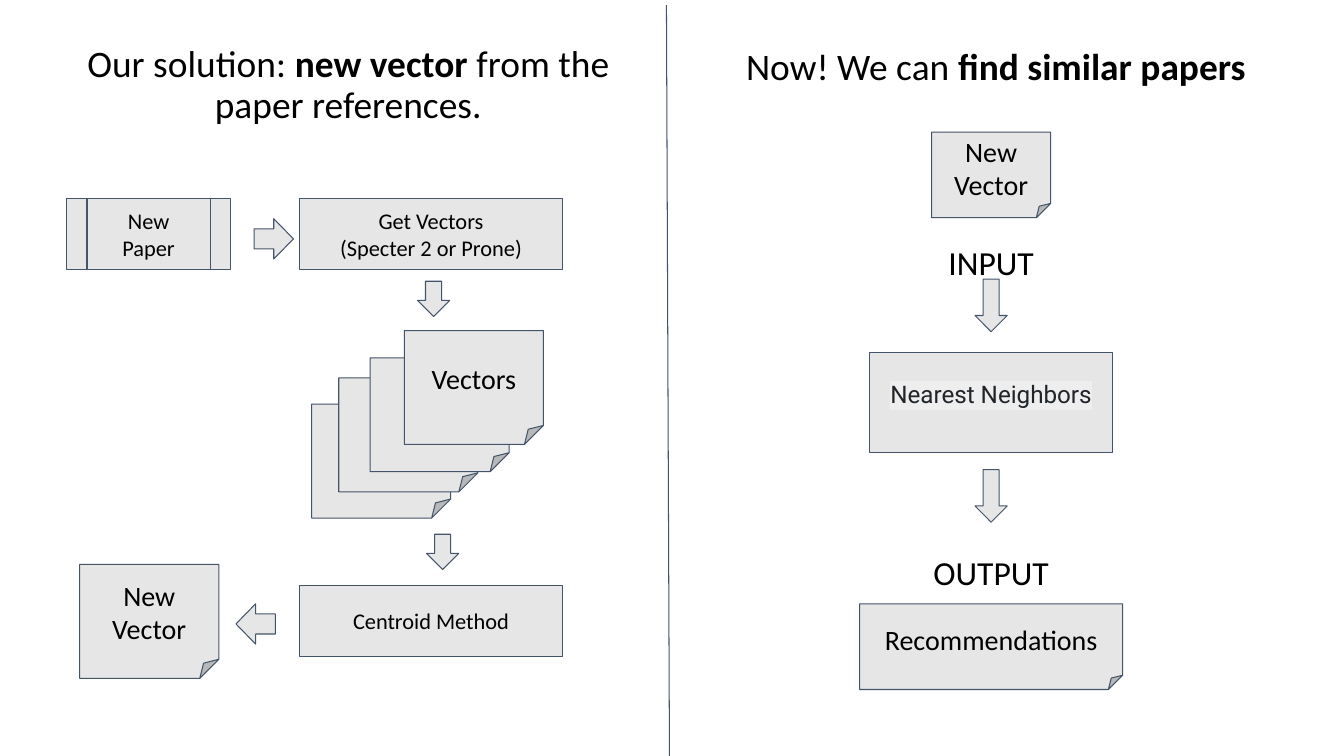
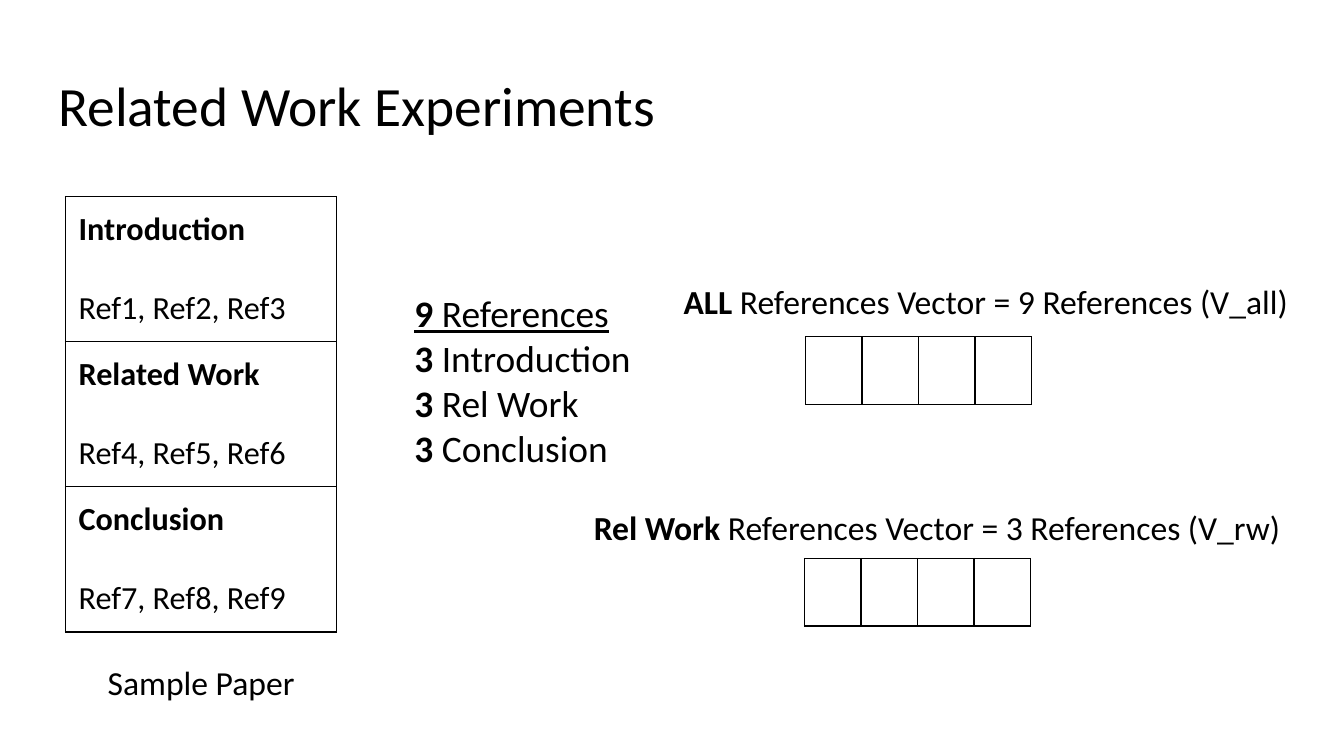
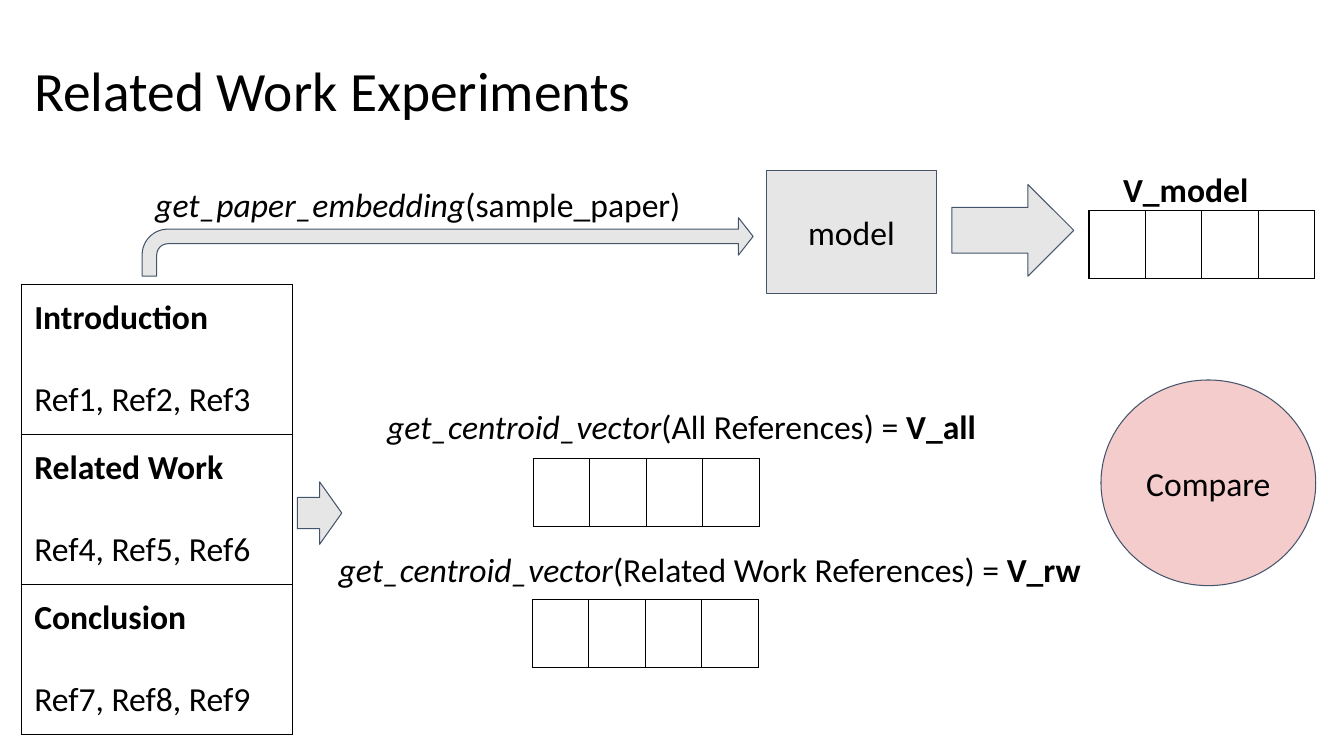
from pptx import Presentation
from pptx.dml.color import RGBColor as Rgb
from pptx.enum.shapes import MSO_CONNECTOR as Conn, MSO_SHAPE as Geo
from pptx.enum.text import MSO_ANCHOR as Anchor, MSO_AUTO_SIZE as Auto, PP_ALIGN as Align
from pptx.oxml.ns import qn
from pptx.util import Inches, Pt
from lxml.etree import SubElement

HUES = {"ink": "000000", "line": "44546A", "fill": "E7E6E6", "pink": "F4CCCC",
        "dark": "212529", "mark": "EEEEEE"}
FONT = "Calibri"
PAD = 0.13
SMALL, MID, BODY, HEAD, TITLE = 16, 20, 24, 26.7, 39.6


def hue(name):
    return Rgb.from_string(HUES[name])


def inch(*vals):
    return [Inches(v) for v in vals]


# Text: a paragraph is a list of (words, flags), flags being any of b, i, u
def add_run(para, words, flags="", size=BODY, font=FONT, color="ink"):
    run = para.add_run()
    run.text = words
    face = run.font
    face.name, face.size = font, Pt(size)
    face.bold, face.italic, face.underline = "b" in flags, "i" in flags, "u" in flags
    face.color.rgb = hue(color)
    return run


def write(frame, paras, size=BODY, align=Align.CENTER, lead=None, gap=0):
    for n, runs in enumerate(paras):
        para = frame.add_paragraph() if n else frame.paragraphs[0]
        para.alignment = align
        if lead:
            para.line_spacing = lead
        if n and gap:
            para.space_before = Pt(gap)
        for words, flags in runs:
            add_run(para, words, flags, size)


def plain(*lines):
    return [[(line, "")] for line in lines]


def set_frame(frame, anchor):
    frame.word_wrap = True
    frame.auto_size = Auto.NONE
    frame.vertical_anchor = anchor
    frame.margin_left = frame.margin_right = Inches(PAD)
    frame.margin_top = frame.margin_bottom = Inches(PAD)


# Shared parts
def add_text(slide, x, y, w, h, paras, size=BODY, align=Align.LEFT):
    box = slide.shapes.add_textbox(*inch(x, y, w, h))
    set_frame(box.text_frame, Anchor.TOP)
    write(box.text_frame, paras, size, align)


def add_title(slide, x, y, w, h, runs, size=TITLE, align=Align.LEFT):
    title = slide.shapes.title
    title.left, title.top, title.width, title.height = inch(x, y, w, h)
    set_frame(title.text_frame, Anchor.TOP)
    write(title.text_frame, [runs], size, align, lead=0.9)


def add_box(slide, geo, x, y, w, h, lines=(), size=BODY, fill="fill"):
    box = slide.shapes.add_shape(geo, *inch(x, y, w, h))
    box.shadow.inherit = False
    box.fill.solid()
    box.fill.fore_color.rgb = hue(fill)
    box.line.color.rgb = hue("line")
    box.line.width = Pt(0.75)
    set_frame(box.text_frame, Anchor.MIDDLE)
    write(box.text_frame, plain(*lines), size)
    return box


def add_grid(slide, x, y, cols, rows, wide, high):
    grid = slide.shapes.add_table(rows, cols, *inch(x, y, cols * wide, rows * high)).table
    grid.first_row = grid.horz_banding = False
    for col in grid.columns:
        col.width = Inches(wide)
    for row in grid.rows:
        row.height = Inches(high)
    for cell in grid.iter_cells():
        props = cell._tc.get_or_add_tcPr()
        for side in ("a:lnL", "a:lnR", "a:lnT", "a:lnB"):
            edge = SubElement(props, qn(side), w=str(Pt(1)))
            paint = SubElement(edge, qn("a:solidFill"))
            SubElement(paint, qn("a:srgbClr"), val=HUES["ink"])
        cell.fill.background()
    return grid


def add_vec(slide, x, y):
    add_grid(slide, x, y, 4, 1, 0.56, 0.67)


def add_paper(slide, x, y, size, high):
    parts = ("Introduction", "Related Work", "Conclusion")
    grid = add_grid(slide, x, y, 1, len(parts), 2.69, high)
    for n, (cell, part) in enumerate(zip(grid.iter_cells(), parts)):
        cell.margin_left = cell.margin_right = Inches(PAD)
        cell.margin_top = cell.margin_bottom = Inches(PAD)
        refs = ", ".join(f"Ref{3 * n + k}" for k in (1, 2, 3))
        write(cell.text_frame, [[(part, "b")], [(refs, "")]], size, Align.LEFT,
              gap=round(size * 1.22, 1))


# Slide 1, left half: from a new paper to its vector
def add_flow(slide, x, y):
    add_title(slide, x + 0.45, y + 0.32, 6.01, 1.13,
              [("Our solution: ", ""), ("new vector", "b"), (" from the paper references.", "")],
              HEAD, Align.CENTER)
    note = 1.38, 1.13
    step = 2.61, 0.7
    add_box(slide, Geo.FLOWCHART_PREDEFINED_PROCESS, x + 0.66, y + 1.97, 1.63, 0.7,
            ["New Paper"], SMALL)
    add_box(slide, Geo.FLOWCHART_PROCESS, x + 2.97, y + 1.97, *step,
            ["Get Vectors", "(Specter 2 or Prone)"], SMALL)
    add_box(slide, Geo.FLOWCHART_PROCESS, x + 2.97, y + 5.81, *step, ["Centroid Method"], SMALL)
    # Stack of vectors, the labelled one in front
    for dx, dy, lines in ((3.09, 4.01, []), (3.36, 3.75, []), (3.67, 3.55, []),
                          (4.01, 3.28, ["Vectors"]), (0.79, 5.6, ["New", "Vector"])):
        add_box(slide, Geo.FOLDED_CORNER, x + dx, y + dy, *note, lines, MID)
    for geo, dx, dy, w, h in ((Geo.RIGHT_ARROW, 2.52, 2.17, 0.39, 0.4),
                              (Geo.DOWN_ARROW, 4.14, 2.79, 0.32, 0.35),
                              (Geo.DOWN_ARROW, 4.23, 5.3, 0.32, 0.35),
                              (Geo.LEFT_ARROW, 2.34, 5.99, 0.39, 0.4)):
        add_box(slide, geo, x + dx, y + dy, w, h)


# Slide 1, right half: one column centred on mid
def add_search(slide, mid, y):
    def left(w):
        return mid - w / 2

    add_box(slide, Geo.FOLDED_CORNER, left(1.18), y + 1.31, 1.18, 0.85, ["New", "Vector"], MID)
    near = add_box(slide, Geo.FLOWCHART_PROCESS, left(2.41), y + 3.5, 2.41, 0.99)
    near.text_frame.margin_bottom = Inches(0.3)
    run = add_run(near.text_frame.paragraphs[0], "Nearest Neighbors", "", 17.3, "Roboto", "dark")
    near.text_frame.paragraphs[0].alignment = Align.CENTER
    mark = SubElement(run.font._element, qn("a:highlight"))
    SubElement(mark, qn("a:srgbClr"), val=HUES["mark"])
    run.font._element.find(qn("a:solidFill")).addnext(mark)
    for dy in (2.77, 4.66):
        add_box(slide, Geo.DOWN_ARROW, left(0.32), y + dy, 0.32, 0.52)
    for dy, word in ((2.27, "INPUT"), (5.35, "OUTPUT")):
        add_text(slide, left(1.81), y + dy, 1.81, 0.4, plain(word), BODY, Align.CENTER)
    add_box(slide, Geo.FOLDED_CORNER, left(2.61), y + 5.99, 2.61, 0.85, ["Recommendations"], MID)
    add_text(slide, left(6.01) + 0.05, y + 0.3, 6.01, 0.85,
             [[("Now! We can ", ""), ("find similar papers", "b")]], HEAD, Align.CENTER)


def add_rule(slide):
    rule = slide.shapes.add_connector(Conn.STRAIGHT, *inch(6.61, 0.05, 6.64, 7.5))
    rule.line.color.rgb = hue("line")
    rule.line.width = Pt(0.75)
    SubElement(rule._element.spPr, qn("a:effectLst"))


# Slide 2: sample paper, counts and the two vectors
def add_sample(slide, x, y):
    add_paper(slide, x, y, 23, 1.44)
    add_text(slide, x, y + 4.49, 2.69, 0.52, plain("Sample Paper"), BODY, Align.CENTER)


def add_counts(slide, x, y):
    paras = [[("9 ", "bu"), ("References", "u")]]
    paras += [[("3 ", "b"), (part, "")] for part in ("Introduction", "Rel Work", "Conclusion")]
    add_text(slide, x, y, 2.69, 2.6, paras, HEAD)


def add_sized(slide, x, y):
    add_text(slide, x + 0.89, y, 6.67, 0.84,
             [[("ALL ", "b"), ("References Vector = 9 References (V_all)", "")]])
    add_vec(slide, x + 2.23, y + 0.68)
    add_text(slide, x, y + 2.24, 7.26, 0.84,
             [[("Rel Work ", "b"), ("References Vector = 3 References (V_rw)", "")]])
    add_vec(slide, x + 2.22, y + 2.88)


# Slide 3: the model path above, the centroid path below
def add_model(slide, x, y):
    add_box(slide, Geo.RIGHT_ARROW, x + 8.03, y + 0.14, 1.21, 0.91)
    add_text(slide, x + 9.51, y - 0.14, 1.68, 0.58, [[("V_model", "b")]], BODY, Align.CENTER)
    add_box(slide, Geo.FLOWCHART_PROCESS, x + 6.19, y, 1.69, 1.22, ["model"])
    bend = add_box(slide, Geo.BENT_ARROW, x, y + 0.47, 6.06, 0.58)
    for n, val in enumerate((0.25, 0.32, 0.25, 0.44)):
        bend.adjustments[n] = val
    add_vec(slide, x + 9.39, y + 0.4)
    add_text(slide, x, y, 5.55, 0.47,
             [[("get_paper_embedding", "i"), ("(sample_paper)", "")]])


def add_means(slide, x, y):
    add_box(slide, Geo.RIGHT_ARROW, x, y + 0.88, 0.44, 0.62)
    for dx, dy, w, refs, name, vx, vy in (
            (0.76, 0, 6.67, "All References", "V_all", 2.34, 0.65),
            (0.28, 1.42, 7.64, "Related Work References", "V_rw", 2.33, 2.05)):
        add_text(slide, x + dx, y + dy, w, 0.84,
                 [[("get_centroid_vector", "i"), (f"({refs}) = ", ""), (name, "b")]])
        add_vec(slide, x + vx, y + vy)


def main():
    deck = Presentation()
    deck.slide_width, deck.slide_height = inch(13.33, 7.5)
    first, second, third = [deck.slides.add_slide(deck.slide_layouts[5]) for _ in range(3)]
    name = [("Related Work Experiments", "")]

    add_flow(first, 0, 0)
    add_rule(first)
    add_search(first, 9.83, 0)

    add_title(second, 0.45, 0.65, 12.42, 0.84, name)
    add_sample(second, 0.65, 1.95)
    add_counts(second, 3.98, 2.75)
    add_sized(second, 5.76, 2.66)

    add_title(third, 0.21, 0.5, 12.42, 0.84, name)
    add_paper(third, 0.21, 2.82, BODY, 1.49)
    add_model(third, 1.41, 1.69)
    add_means(third, 2.95, 3.9)
    add_box(third, Geo.OVAL, 10.92, 3.77, 2.13, 2.04, ["Compare"], fill="pink")

    deck.save("out.pptx")


if __name__ == "__main__":
    main()
